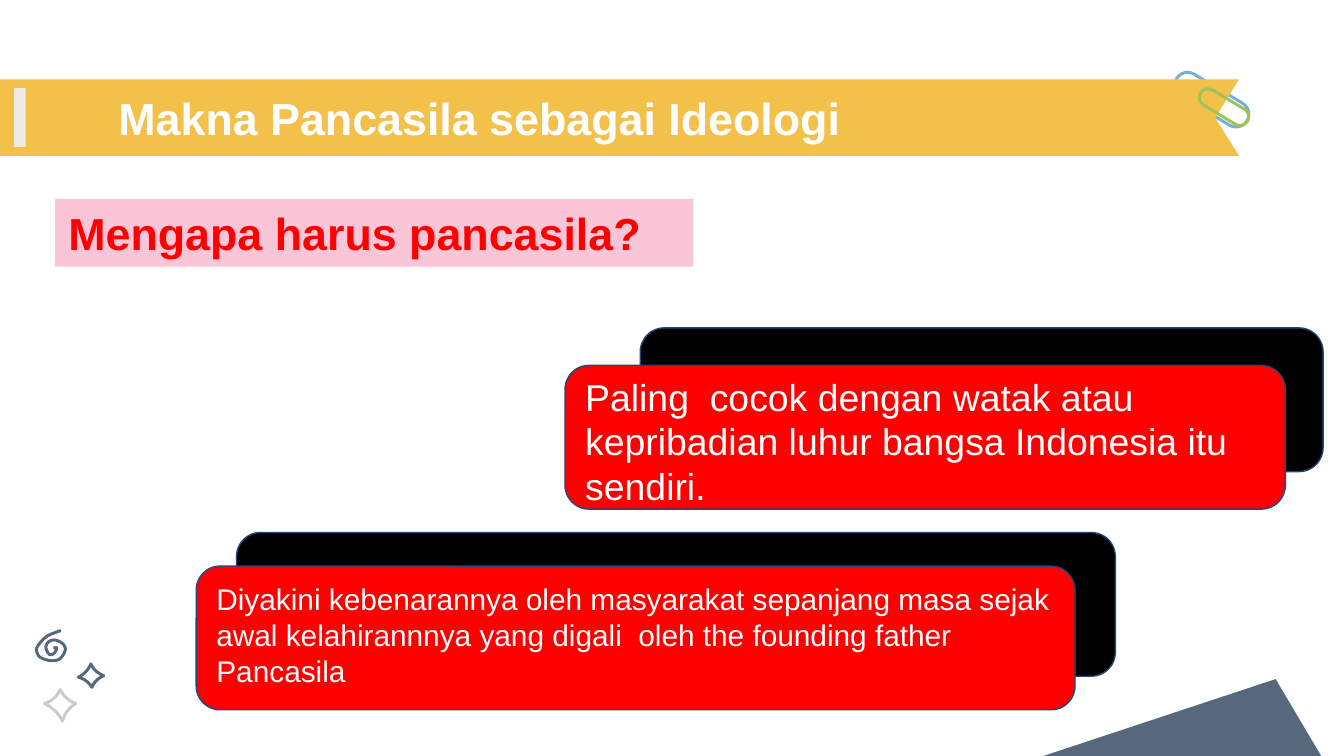
from pptx import Presentation
from pptx.dml.color import RGBColor
from pptx.enum.shapes import MSO_SHAPE
from pptx.enum.text import MSO_ANCHOR, PP_ALIGN
from pptx.util import Pt

COLORS = {
    "white": "FFFFFF", "black": "000000", "red": "FF0000", "pink": "FAC5D7",
    "gold": "F3C04A", "cream": "EEECE1", "slate": "57687C", "grey": "CBCBCB",
    "blue": "76B1D1", "green": "A0C358", "navy": "1F497D",
}


def rgb(name):
    return RGBColor.from_string(COLORS[name])


def paint(shape, fill=None, line=None, stroke=0.75):
    shape.shadow.inherit = False
    if fill:
        shape.fill.solid()
        shape.fill.fore_color.rgb = rgb(fill)
    else:
        shape.fill.background()
    if line:
        shape.line.color.rgb = rgb(line)
        shape.line.width = Pt(stroke)
    else:
        shape.line.fill.background()
    return shape


def write(shape, text, size, color="white", bold=False,
          anchor=MSO_ANCHOR.MIDDLE, insets=(7.2, 7.2, 7.2, 7.2)):
    frame = shape.text_frame
    frame.word_wrap = True
    frame.vertical_anchor = anchor
    (frame.margin_left, frame.margin_top,
     frame.margin_right, frame.margin_bottom) = map(Pt, insets)
    paragraph = frame.paragraphs[0]
    paragraph.alignment = PP_ALIGN.LEFT
    run = paragraph.add_run()
    run.text = text
    run.font.name = "Arial"
    run.font.size = Pt(size)
    run.font.bold = bold
    run.font.color.rgb = rgb(color)


def add_box(slide, kind, left, top, width, height, **style):
    box = slide.shapes.add_shape(kind, Pt(left), Pt(top), Pt(width), Pt(height))
    return paint(box, **style)


def add_outline(slide, points, close=True, **style):
    corners = [(Pt(x), Pt(y)) for x, y in points]
    builder = slide.shapes.build_freeform(*corners[0], scale=1.0)
    builder.add_line_segments(corners[1:], close=close)
    return paint(builder.convert_to_shape(), **style)


def add_clip(slide, center_x, center_y, length, breadth, color):
    clip = add_box(slide, MSO_SHAPE.ROUNDED_RECTANGLE, center_x - length / 2,
                   center_y - breadth / 2, length, breadth, line=color, stroke=1.6)
    clip.adjustments[0] = 0.5
    clip.rotation = 31


def add_sparkle(slide, center, tips, color):
    """Star whose sides bend towards the center."""
    points = []
    for tip, following in zip(tips, tips[1:] + tips[:1]):
        bend = [0.3 * (a + b) + 0.4 * c for a, b, c in zip(tip, following, center)]
        for step in range(8):
            t = step / 8
            points.append([(1 - t) ** 2 * a + 2 * t * (1 - t) * m + t * t * b
                           for a, m, b in zip(tip, bend, following)])
    add_outline(slide, points, line=color, stroke=1.6)


def add_spiral(slide, knots, color):
    """Smooth Catmull-Rom curve through the knots."""
    padded = [knots[0]] + knots + [knots[-1]]
    points = []
    for quad in zip(padded, padded[1:], padded[2:], padded[3:]):
        for step in range(6):
            t = step / 6
            points.append([
                b + 0.5 * t * (c - a + t * (2 * a - 5 * b + 4 * c - d
                                            + t * (3 * (b - c) + d - a)))
                for a, b, c, d in zip(*quad)])
    add_outline(slide, points + [knots[-1]], close=False, line=color, stroke=1.6)


def add_card(slide, left, top, width, color):
    return add_box(slide, MSO_SHAPE.ROUNDED_RECTANGLE, left, top, width, 77,
                   fill=color, line="navy")


def main():
    deck = Presentation()
    deck.slide_width, deck.slide_height = Pt(720), Pt(405)
    slide = deck.slides.add_slide(deck.slide_layouts[5])

    # Banner with the two paper clips
    add_clip(slide, 649.2, 53.4, 44, 13.7, "blue")
    add_outline(slide, [(0, 42.5), (0, 83.5), (663.8, 83.5), (651, 63.2), (663.8, 42.5)],
                fill="gold")
    add_box(slide, MSO_SHAPE.RECTANGLE, 7.6, 47.2, 6.2, 31.5, fill="cream")
    add_clip(slide, 655.7, 57.4, 29.5, 9.4, "green")

    # Corner and doodles
    add_outline(slide, [(683.4, 363.8), (559, 405), (707.8, 405)], fill="slate")
    add_spiral(slide, [(32.6, 337.8), (25, 341), (20, 346.5), (20, 350), (22, 352.4),
                       (27.4, 354), (32, 353), (34.8, 349), (34.5, 346), (32.4, 344),
                       (29, 342.9), (25.9, 344), (24.6, 347), (26.4, 350.6),
                       (29, 350), (30.4, 347.2), (28.6, 347.2)], "slate")
    add_sparkle(slide, (32.6, 377.2),
                [(32.3, 369.4), (40.6, 377), (33.5, 386.4), (23.8, 377)], "grey")
    add_sparkle(slide, (48.8, 362.3),
                [(48.7, 355.7), (55.6, 362), (49.3, 368.2), (42, 362.8)], "slate")

    # Title, raised above the banner
    title = slide.shapes.title
    title.left, title.top, title.width, title.height = map(Pt, (56.2, 44, 607.7, 37.5))
    write(title, "Makna Pancasila sebagai Ideologi", 24, bold=True)
    slide.shapes.element.append(title.element)

    # Question
    question = add_box(slide, MSO_SHAPE.RECTANGLE, 29.5, 106.5, 342, 36.3, fill="pink")
    write(question, "Mengapa harus pancasila?", 24, color="red", bold=True,
          anchor=MSO_ANCHOR.TOP, insets=(7.2, 3.6, 7.2, 3.6))

    # Answers, each on a black backing card
    add_card(slide, 126.7, 285.3, 470.8, "black")
    add_card(slide, 343, 175.7, 365.8, "black")
    belief = add_card(slide, 105.1, 303.3, 470.8, "red")
    write(belief, "Diyakini kebenarannya oleh masyarakat sepanjang masa sejak awal "
          "kelahirannnya yang digali  oleh the founding father Pancasila", 16,
          insets=(7.2, 3.6, 7.2, 7.2))
    character = add_card(slide, 302.7, 195.8, 385.9, "red")
    write(character, "Paling  cocok dengan watak atau kepribadian luhur bangsa "
          "Indonesia itu sendiri.", 20, insets=(7.2, 4, 7.2, 0))

    deck.save("out.pptx")


if __name__ == "__main__":
    main()
